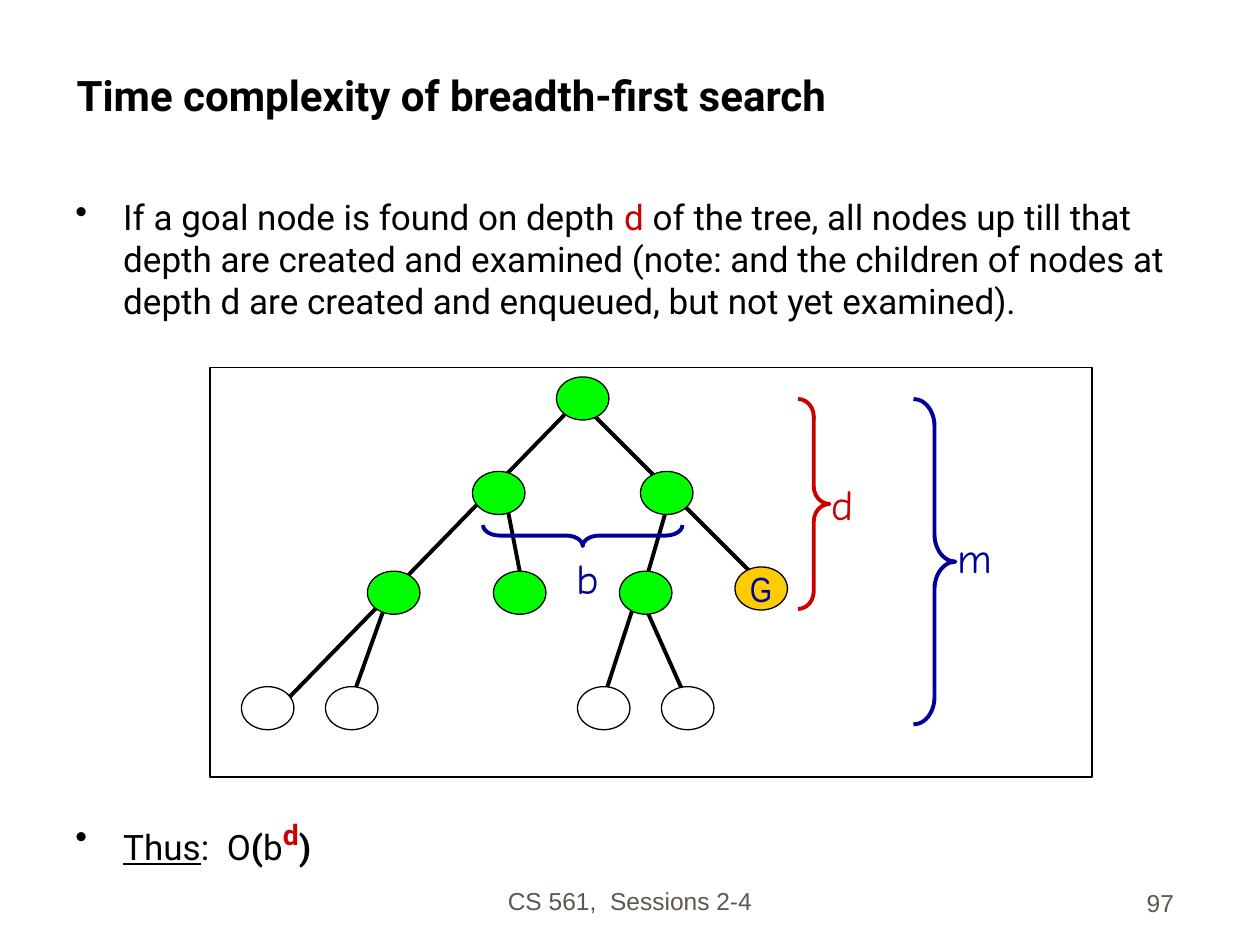
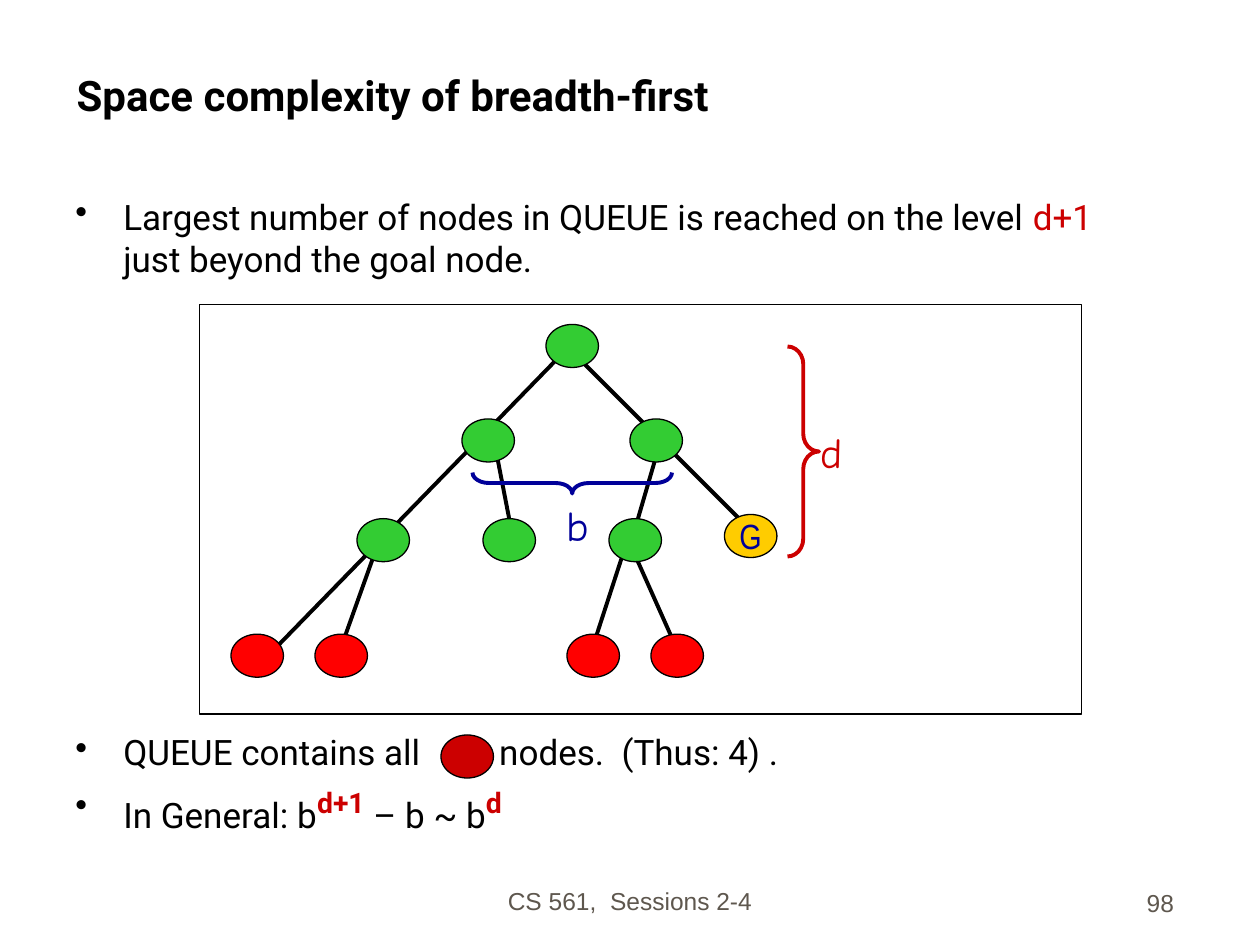
from dataclasses import dataclass
from typing import NamedTuple

from lxml.etree import SubElement
from pptx import Presentation
from pptx.dml.color import RGBColor
from pptx.enum.shapes import MSO_CONNECTOR as Connector, MSO_SHAPE as Preset
from pptx.enum.text import MSO_ANCHOR as Anchor, MSO_AUTO_SIZE as AutoSize, PP_ALIGN as Align
from pptx.oxml.ns import qn
from pptx.util import Emu, Inches, Pt

BLACK, WHITE, GREY = "000000", "FFFFFF", "5E574E"
RED, NAVY, GOLD = "CC0000", "000099", "FFCC00"
BODY_FONT, FOOTER_FONT, LABEL_FONT, GOAL_FONT = "Roboto", "Arial", "Comic Neue", "Arial Narrow"
TITLE_ONLY = 5

COLUMNS, ROWS = 120, 90
WIDTH, HEIGHT = Inches(10), Inches(7.5)


class Box(NamedTuple):
    """Left, top, width and height in grid columns and rows."""
    col: float
    row: float
    cols: float
    rows: float

    def shifted(self, col: float, row: float) -> "Box":
        return Box(self.col + col, self.row + row, self.cols, self.rows)


class Run(NamedTuple):
    text: str
    color: str = BLACK
    size: float = 20
    font: str = BODY_FONT
    bold: bool = False
    underline: bool = False
    raised: bool = False
    tracking: float = 0


class Node(NamedTuple):
    col: float
    row: float
    role: str


class Edge(NamedTuple):
    col: float
    row: float
    end_col: float
    end_row: float


@dataclass(frozen=True)
class Brace:
    box: Box
    preset: Preset
    curl: float
    color: str
    label: str
    label_col: float
    label_row: float
    rotation: float = 0


@dataclass(frozen=True)
class Tree:
    """A search tree placed by its root, with the fills of its node roles."""
    col: float
    row: float
    panel_row: float
    fills: dict[str, str]
    braces: list[Brace]


@dataclass(frozen=True)
class Bullets:
    box: Box
    paragraphs: list[list[Run]]


NODE_COLS, NODE_ROWS = 5, 4.1
LEVELS = [
    (-2.1, "examined", [-2]),
    (6.9, "examined", [-10, 6]),
    (16.4, "examined", [-20, -8, 4]),
    (16, "goal", [15]),
    (27.4, "queued", [-32, -24, 0, 8]),
]
NODES = [Node(col, row, role) for row, role, cols in LEVELS for col in cols]
EDGES = [
    Edge(0, 0, 18, 18),
    Edge(6, 18.8, 11, 30),
    Edge(6, 17.7, 2, 30),
    Edge(-18, 18.8, -22, 30),
    Edge(9, 8.7, 6, 19),
    Edge(-7, 8.7, -5, 19),
    Edge(1, -0.8, -29, 30),
]
BRANCHING = Brace(Box(-0.5, 3.5, 2, 19), Preset.LEFT_BRACE, 0.79, NAVY, "b", -1.25, 14, 270)
GOAL_DEPTH = Brace(Box(21, 0, 3, 20), Preset.RIGHT_BRACE, 0.56, RED, "d", 23, 7)
MAX_DEPTH = Brace(Box(32, 0, 4, 31), Preset.RIGHT_BRACE, 0.65, NAVY, "m", 35, 12)


def x(cols: float) -> Emu:
    return Emu(round(WIDTH * cols / COLUMNS))


def y(rows: float) -> Emu:
    return Emu(round(HEIGHT * rows / ROWS))


def place(box: Box) -> tuple[Emu, Emu, Emu, Emu]:
    return x(box.col), y(box.row), x(box.cols), y(box.rows)


def rgb(color: str) -> RGBColor:
    return RGBColor.from_string(color)


def add_runs(paragraph, runs: list[Run]) -> None:
    for part in runs:
        run = paragraph.add_run()
        run.text = part.text
        font = run.font
        font.name, font.size = part.font, Pt(part.size)
        font.bold, font.underline = part.bold, part.underline
        font.color.rgb = rgb(part.color)
        properties = run._r.get_or_add_rPr()
        if part.raised:
            properties.set("baseline", "30000")
        if part.tracking:
            properties.set("spc", str(round(part.tracking * 100)))


def add_text(slide, box: Box, run: Run, align: Align = Align.LEFT,
             anchor: Anchor = Anchor.TOP, wrap: bool = True) -> None:
    frame = slide.shapes.add_textbox(*place(box)).text_frame
    frame.word_wrap, frame.vertical_anchor = wrap, anchor
    frame.auto_size = AutoSize.NONE if wrap else AutoSize.SHAPE_TO_FIT_TEXT
    frame.paragraphs[0].alignment = align
    add_runs(frame.paragraphs[0], [run])


def add_preset(slide, preset: Preset, box: Box, fill: str | None, line: str, weight: float):
    shape = slide.shapes.add_shape(preset, *place(box))
    shape.shadow.inherit = False
    if fill:
        shape.fill.solid()
        shape.fill.fore_color.rgb = rgb(fill)
    else:
        shape.fill.background()
    shape.line.color.rgb = rgb(line)
    shape.line.width = Pt(weight)
    return shape


def add_node(slide, col: float, row: float, fill: str):
    return add_preset(slide, Preset.OVAL, Box(col, row, NODE_COLS, NODE_ROWS), fill, BLACK, 0.75)


def add_edge(slide, edge: Edge, tree: Tree) -> None:
    line = slide.shapes.add_connector(
        Connector.STRAIGHT,
        x(tree.col + edge.col), y(tree.row + edge.row),
        x(tree.col + edge.end_col), y(tree.row + edge.end_row))
    line.line.color.rgb = rgb(BLACK)
    line.line.width = Pt(2.25)
    SubElement(line._element.spPr, qn("a:effectLst"))


def add_brace(slide, brace: Brace, tree: Tree) -> None:
    shape = add_preset(slide, brace.preset, brace.box.shifted(tree.col, tree.row),
                       None, brace.color, 2.25)
    shape.adjustments[0] = brace.curl
    shape.rotation = brace.rotation
    label_box = Box(brace.label_col, brace.label_row, 5, 6).shifted(tree.col, tree.row)
    add_text(slide, label_box, Run(brace.label, brace.color, 24, LABEL_FONT), wrap=False)


def add_tree(slide, tree: Tree) -> None:
    panel = Box(tree.col - 35, tree.panel_row, 84, 39)
    add_preset(slide, Preset.RECTANGLE, panel, WHITE, BLACK, 0.75)
    for edge in EDGES:
        add_edge(slide, edge, tree)
    for node in NODES:
        oval = add_node(slide, tree.col + node.col, tree.row + node.row, tree.fills[node.role])
        if node.role == "goal":
            frame = oval.text_frame
            frame.word_wrap, frame.vertical_anchor = False, Anchor.MIDDLE
            frame.paragraphs[0].alignment = Align.CENTER
            add_runs(frame.paragraphs[0], [Run("G", NAVY, 20, GOAL_FONT)])
    for brace in tree.braces:
        add_brace(slide, brace, tree)


def add_bullets(slide, bullets: Bullets) -> None:
    frame = slide.shapes.add_textbox(*place(bullets.box)).text_frame
    frame.word_wrap = True
    for index, runs in enumerate(bullets.paragraphs):
        paragraph = frame.add_paragraph() if index else frame.paragraphs[0]
        if index:
            paragraph.space_before = Pt(4)
        properties = paragraph._p.get_or_add_pPr()
        properties.set("marL", str(Inches(0.38)))
        properties.set("indent", str(-Inches(0.38)))
        SubElement(SubElement(properties, qn("a:buClr")), qn("a:srgbClr")).set("val", BLACK)
        SubElement(properties, qn("a:buChar")).set("char", "•")
        add_runs(paragraph, runs)


def add_slide(deck, title: str, number: int):
    """Add a slide with its title, footer and page number."""
    slide = deck.slides.add_slide(deck.slide_layouts[TITLE_ONLY])
    heading = slide.shapes.title
    heading.left, heading.top, heading.width, heading.height = place(Box(6.1, 3, 107, 9))
    frame = heading.text_frame
    frame.auto_size, frame.vertical_anchor = AutoSize.NONE, Anchor.BOTTOM
    frame.paragraphs[0].alignment = Align.LEFT
    add_runs(frame.paragraphs[0], [Run(title, size=24, bold=True)])
    add_text(slide, Box(41, 81.75, 38, 6), Run("CS 561,  Sessions 2-4", GREY, 14, FOOTER_FONT),
             Align.CENTER, Anchor.BOTTOM)
    add_text(slide, Box(88, 82, 25, 6), Run(str(number), GREY, 14, FOOTER_FONT),
             Align.RIGHT, Anchor.BOTTOM)
    return slide


def exponent(text: str) -> Run:
    return Run(text, RED, 28, bold=True, raised=True)


def add_time_complexity(deck) -> None:
    slide = add_slide(deck, "Time complexity of breadth-first search", 97)
    add_bullets(slide, Bullets(Box(6, 18, 108, 14), [[
        Run("If a goal node is found on depth "),
        Run("d", RED),
        Run(" of the tree, all nodes up till that depth are created and examined (note: and "
            "the children of nodes at depth d are created and enqueued, but not yet examined)."),
    ]]))
    fills = {"examined": "00FF00", "goal": GOLD, "queued": WHITE}
    add_tree(slide, Tree(55, 38, 35, fills, [MAX_DEPTH, BRANCHING, GOAL_DEPTH]))
    add_bullets(slide, Bullets(Box(6, 76.7, 108, 8), [[
        Run("Thus", underline=True),
        Run(":  O"),
        Run("(", bold=True),
        Run("b"),
        exponent("d"),
        Run(")", bold=True),
    ]]))


def add_space_complexity(deck) -> None:
    slide = add_slide(deck, "Space complexity of breadth-first", 98)
    add_bullets(slide, Bullets(Box(6, 18, 104, 13), [[
        Run("Largest number of nodes in QUEUE is reached on the level "),
        Run("d+1", RED),
        Run(" just beyond the goal node."),
    ]]))
    fills = {"examined": "33CC33", "goal": GOLD, "queued": "FF0000"}
    add_tree(slide, Tree(54, 33, 29, fills, [BRANCHING, GOAL_DEPTH]))
    add_bullets(slide, Bullets(Box(6, 69, 104, 13), [
        [Run("QUEUE contains all"), Run(" ", tracking=40), Run("nodes.  (Thus: 4) .")],
        [Run("In General: b"), exponent("d+1"), Run(" – b ~ b"), exponent("d")],
    ]))
    add_node(slide, 42, 70, RED)


def main() -> None:
    deck = Presentation()
    deck.slide_width, deck.slide_height = WIDTH, HEIGHT
    add_time_complexity(deck)
    add_space_complexity(deck)
    deck.save("out.pptx")


if __name__ == "__main__":
    main()
